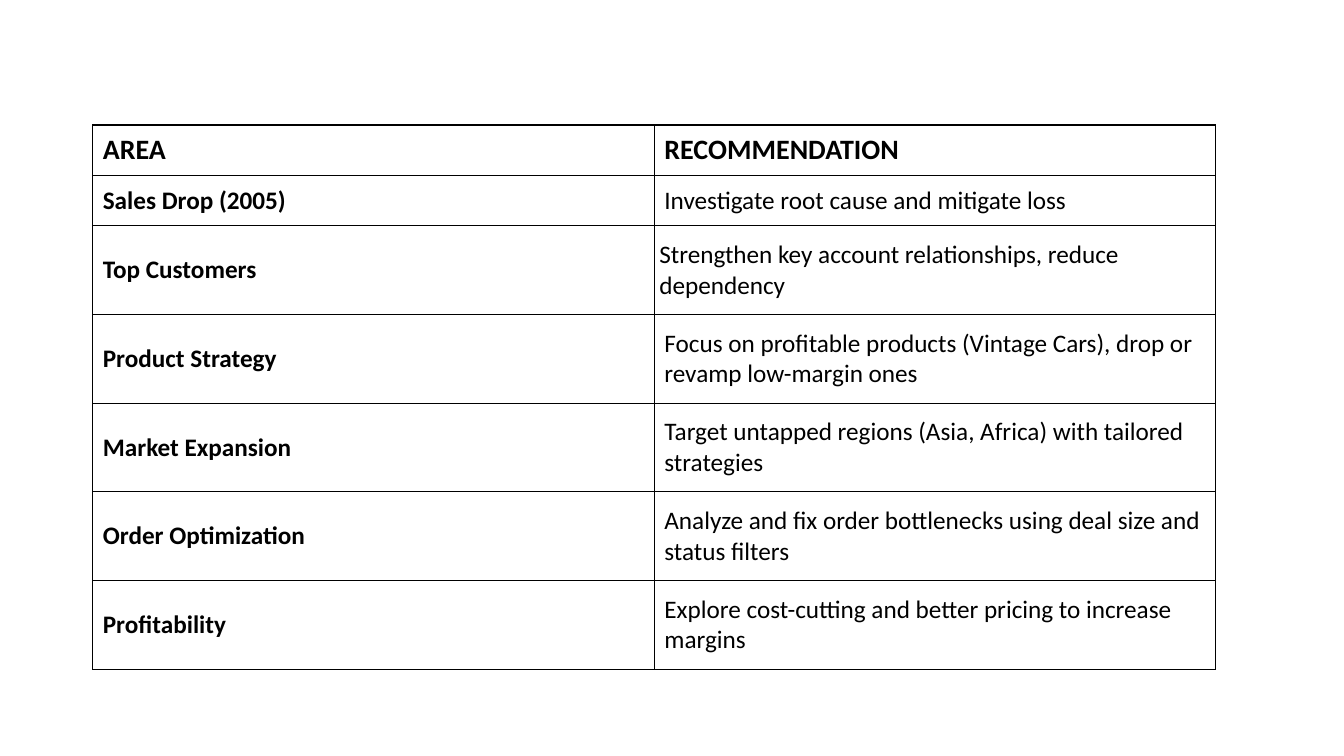
"""Build a slide with a table of recommendations by business area."""
from dataclasses import dataclass

from lxml.etree import SubElement
from pptx import Presentation
from pptx.dml.color import RGBColor
from pptx.enum.text import MSO_ANCHOR
from pptx.oxml.ns import qn
from pptx.util import Pt

ROWS = [
    ("AREA", "RECOMMENDATION"),
    ("Sales Drop (2005)", "Investigate root cause and mitigate loss"),
    ("Top Customers", "Strengthen key account relationships, reduce dependency"),
    ("Product Strategy", "Focus on profitable products (Vintage Cars), drop or revamp low-margin ones"),
    ("Market Expansion", "Target untapped regions (Asia, Africa) with tailored strategies"),
    ("Order Optimization", "Analyze and fix order bottlenecks using deal size and status filters"),
    ("Profitability", "Explore cost-cutting and better pricing to increase margins"),
]
SLIDE_W, SLIDE_H = 1333, 750
LEFT, TOP, COL_W = 92, 124, 557
SHORT_ROW_H, TALL_ROW_H, SHORT_ROWS = 50, 88, 2
INSET_X, TIGHT_INSET_X, INSET_Y = 10, 5, 5
TIGHT_CELL = (2, 1)


@dataclass(frozen=True)
class Theme:
    font: str = "Calibri"
    ink: str = "000000"
    paper: str = "FFFFFF"
    header_size: int = 20
    body_size: int = 18
    border: int = 1


THEME = Theme()


def px(n):
    return n * 9144


def add_borders(cell):
    tc_pr = cell._tc.get_or_add_tcPr()
    for i, side in enumerate(("lnL", "lnR", "lnT", "lnB")):
        ln = SubElement(tc_pr, qn(f"a:{side}"), w=str(Pt(THEME.border)))
        fill = SubElement(ln, qn("a:solidFill"))
        SubElement(fill, qn("a:srgbClr"), val=THEME.ink)
        tc_pr.insert(i, ln)


def fill_cell(cell, text, row, col):
    cell.fill.solid()
    cell.fill.fore_color.rgb = RGBColor.from_string(THEME.paper)
    add_borders(cell)
    cell.vertical_anchor = MSO_ANCHOR.MIDDLE
    inset = TIGHT_INSET_X if (row, col) == TIGHT_CELL else INSET_X
    cell.margin_left = cell.margin_right = px(inset)
    cell.margin_top = cell.margin_bottom = px(INSET_Y)
    cell.text_frame.text = text
    font = cell.text_frame.paragraphs[0].runs[0].font
    font.name = THEME.font
    font.size = Pt(THEME.body_size if row else THEME.header_size)
    font.bold = row == 0 or col == 0
    font.color.rgb = RGBColor.from_string(THEME.ink)


def main():
    prs = Presentation()
    prs.slide_width, prs.slide_height = px(SLIDE_W), px(SLIDE_H)
    slide = prs.slides.add_slide(prs.slide_layouts[6])
    heights = [SHORT_ROW_H if i < SHORT_ROWS else TALL_ROW_H for i in range(len(ROWS))]
    cols = len(ROWS[0])
    table = slide.shapes.add_table(
        len(ROWS), cols, px(LEFT), px(TOP), px(COL_W * cols), px(sum(heights))
    ).table
    table.first_row = table.horz_banding = False
    for column in table.columns:
        column.width = px(COL_W)
    for i, (texts, height) in enumerate(zip(ROWS, heights)):
        table.rows[i].height = px(height)
        for j, text in enumerate(texts):
            fill_cell(table.cell(i, j), text, i, j)
    prs.save("out.pptx")


if __name__ == "__main__":
    main()
